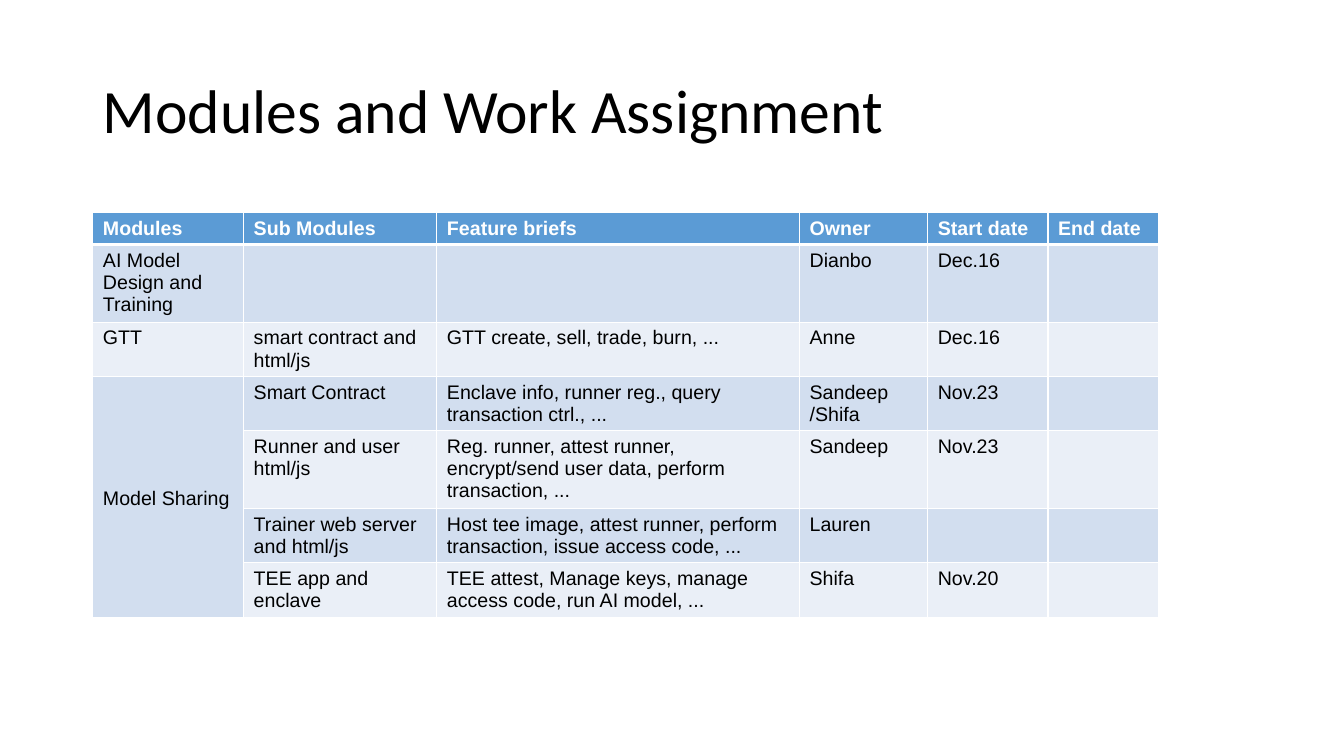
from pptx import Presentation
from pptx.dml.color import RGBColor
from pptx.enum.text import MSO_ANCHOR as Anchor
from pptx.oxml import parse_xml
from pptx.oxml.ns import nsdecls
from pptx.util import Cm, Pt

WHITE = RGBColor(0xFF, 0xFF, 0xFF)
BLACK = RGBColor(0, 0, 0)
BLUE = RGBColor(0x5B, 0x9B, 0xD5)
BANDS = [RGBColor(0xD2, 0xDE, 0xEF), RGBColor(0xEA, 0xEF, 0xF7)]

WIDTHS = [3.8, 4.87, 9.14, 3.23, 3.03, 2.79]
HEIGHTS = [0.8, 1.92, 1.37, 1.37, 1.92, 1.37, 1.37]
ROWS = [
    ["Modules", "Sub Modules", "Feature briefs", "Owner", "Start date", "End date"],
    ["AI Model Design and Training", "", "", "Dianbo", "Dec.16", ""],
    ["GTT", "smart contract and html/js", "GTT create, sell, trade, burn, ...",
     "Anne", "Dec.16", ""],
    ["Model Sharing", "Smart Contract",
     "Enclave info, runner reg., query transaction ctrl., ...",
     "Sandeep /Shifa", "Nov.23", ""],
    ["", "Runner and user html/js",
     "Reg. runner, attest runner, encrypt/send user data, perform transaction, ...",
     "Sandeep", "Nov.23", ""],
    ["", "Trainer web server and html/js",
     "Host tee image, attest runner, perform transaction, issue access code, ...",
     "Lauren", "", ""],
    ["", "TEE app and enclave",
     "TEE attest, Manage keys, manage access code, run AI model, ...",
     "Shifa", "Nov.20", ""],
]
SHARING = 3  # first row of the merged module


def write(frame, text, size=14, font="Arial", color=BLACK, bold=False, spacing=None):
    para = frame.paragraphs[0]
    para.line_spacing = spacing
    run = para.add_run()
    run.text = text
    run.font.size = Pt(size)
    run.font.name = font
    run.font.bold = bold
    run.font.color.rgb = color


def border(cell, **widths):
    props = cell._tc.get_or_add_tcPr()
    for side in "LRTB":
        props.append(parse_xml(
            f'<a:ln{side} {nsdecls("a")} w="{Pt(widths.get(side, 1))}"><a:solidFill>'
            f'<a:srgbClr val="{WHITE}"/></a:solidFill></a:ln{side}>'))


def add_title(slide, left, top, width, height):
    frame = slide.shapes.add_textbox(Cm(left), Cm(top), Cm(width), Cm(height)).text_frame
    frame.word_wrap = True
    frame.vertical_anchor = Anchor.MIDDLE
    write(frame, "Modules and Work Assignment", size=44, font="Calibri", spacing=0.9)


def add_plan(slide, left, top):
    table = slide.shapes.add_table(len(ROWS), len(WIDTHS), Cm(left), Cm(top),
                                   Cm(sum(WIDTHS)), Cm(sum(HEIGHTS))).table
    for col, width in zip(table.columns, WIDTHS):
        col.width = Cm(width)

    # Cells: header row, then alternating bands
    for i, texts in enumerate(ROWS):
        head = i == 0
        table.rows[i].height = Cm(HEIGHTS[i])
        for j, text in enumerate(texts):
            cell = table.cell(i, j)
            cell.margin_bottom = Cm(0.05)
            border(cell, T=3 if i == 1 else 1, B=3 if head else 1)
            cell.fill.solid()
            cell.fill.fore_color.rgb = BLUE if head else BANDS[(i - 1) % 2]
            if text:
                write(cell.text_frame, text, color=WHITE if head else BLACK, bold=head)

    # Module that spans the remaining rows
    module = table.cell(SHARING, 0)
    module.merge(table.cell(len(ROWS) - 1, 0))
    module.vertical_anchor = Anchor.MIDDLE


def main():
    deck = Presentation()
    deck.slide_width, deck.slide_height = Cm(33.87), Cm(19.05)
    slide = deck.slides.add_slide(deck.slide_layouts[6])
    add_title(slide, 2.34, 1.01, 26.87, 3.68)
    add_plan(slide, 2.34, 5.36)
    deck.save("out.pptx")


if __name__ == "__main__":
    main()
